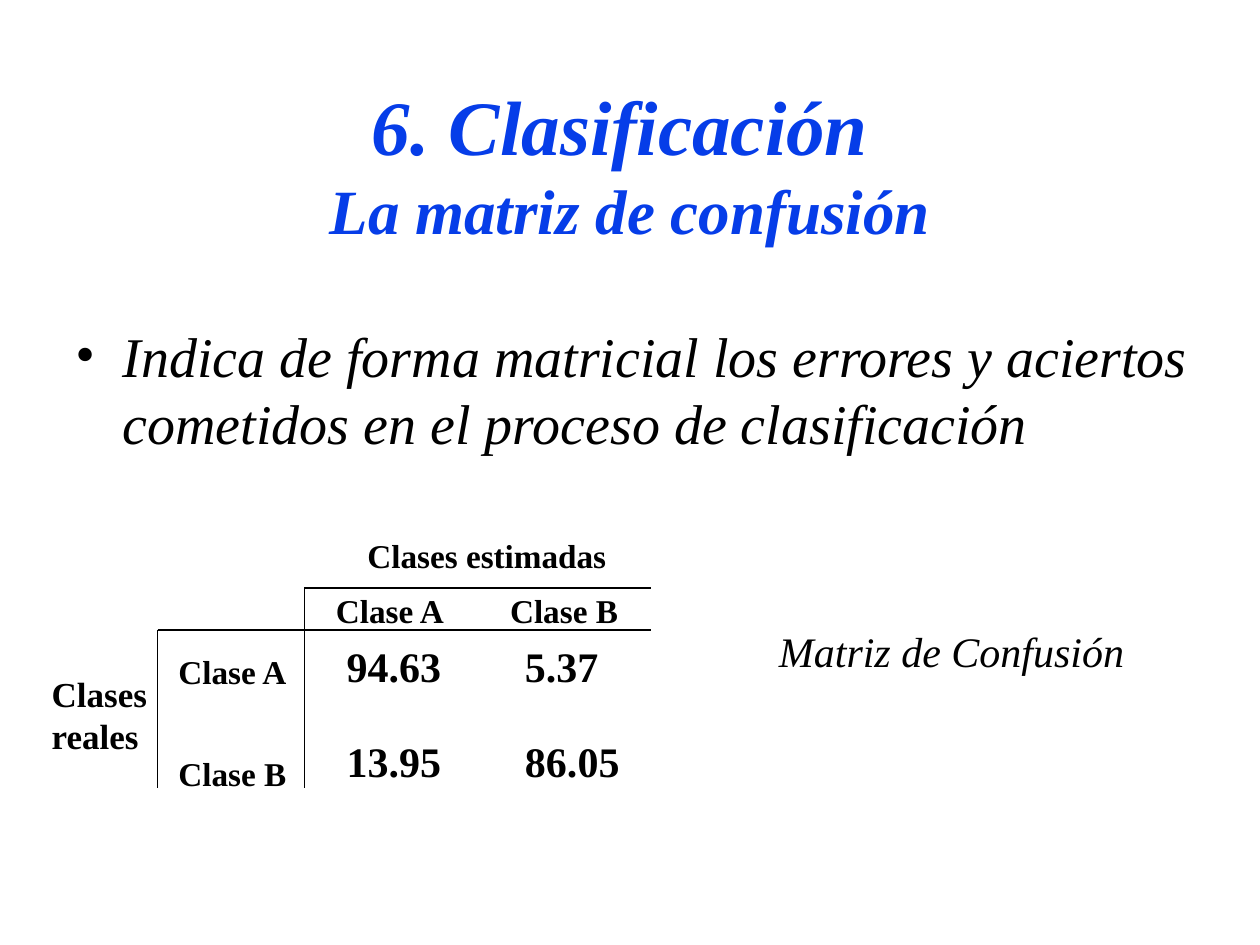
from pptx import Presentation
from pptx.dml.color import RGBColor
from pptx.enum.shapes import MSO_CONNECTOR as CONN
from pptx.enum.text import MSO_ANCHOR as ANCHOR, PP_ALIGN as ALIGN
from pptx.oxml.ns import qn
from pptx.util import Pt
from lxml.etree import SubElement

COLORS = {"title": "063DE8", "ink": "000000"}
FONT = "Times New Roman"


class Deck:
    def __init__(self, prs):
        self.s = prs.slides.add_slide(prs.slide_layouts[6])

    def frame(self, x, y, w, h, inset=True, wrap=True):
        tf = self.s.shapes.add_textbox(Pt(x), Pt(y), Pt(w), Pt(h)).text_frame
        tf.word_wrap = wrap
        tf.margin_left = tf.margin_right = Pt(7.2 if inset else 0)
        tf.margin_top = tf.margin_bottom = Pt(3.6 if inset else 0)
        return tf

    def run(self, p, text, size, color="ink", bold=False, italic=False):
        r = p.add_run()
        r.text = text
        r.font.name = FONT
        r.font.size = Pt(size)
        r.font.bold = bold
        r.font.italic = italic
        r.font.color.rgb = RGBColor.from_string(COLORS[color])

    def title(self, x, y, w, h, lines):
        tf = self.frame(x, y, w, h)
        tf.vertical_anchor = ANCHOR.MIDDLE
        p = tf.paragraphs[0]
        p.alignment = ALIGN.CENTER
        for i, (text, size) in enumerate(lines):
            if i:
                p.add_line_break()
            self.run(p, text, size, "title", True, True)

    def bullet(self, x, y, w, h, text, size):
        p = self.frame(x, y, w, h).paragraphs[0]
        pPr = p._p.get_or_add_pPr()
        pPr.set("marL", str(Pt(27)))
        pPr.set("indent", str(-Pt(27)))
        clr = SubElement(pPr, qn("a:buClr"))
        SubElement(clr, qn("a:srgbClr")).set("val", COLORS["ink"])
        SubElement(pPr, qn("a:buFont")).set("typeface", FONT)
        SubElement(pPr, qn("a:buChar")).set("char", "•")
        self.run(p, text, size, italic=True)

    def caption(self, x, y, w, h, text, size):
        self.run(self.frame(x, y, w, h).paragraphs[0], text, size, italic=True)

    def label(self, x, y, w, h, lines, size):
        tf = self.frame(x, y, w, h, inset=False, wrap=False)
        for i, text in enumerate(lines):
            p = tf.add_paragraph() if i else tf.paragraphs[0]
            self.run(p, text, size, bold=True)

    def line(self, x1, y1, x2, y2):
        c = self.s.shapes.add_connector(CONN.STRAIGHT, Pt(x1), Pt(y1), Pt(x2), Pt(y2))
        c.line.width = Pt(1)
        c.line.color.rgb = RGBColor.from_string(COLORS["ink"])
        SubElement(c._element.spPr, qn("a:effectLst"))


def main():
    prs = Presentation()
    prs.slide_width, prs.slide_height = Pt(720), Pt(540)
    deck = Deck(prs)

    deck.title(54, 48, 612, 90,
               [("6. Clasificación ", 44), ("La matriz de confusión", 36)])
    deck.bullet(36, 180, 654, 324,
                "Indica de forma matricial los errores y aciertos "
                "cometidos en el proceso de clasificación", 32)

    deck.label(210, 306, 137, 23, ["Clases estimadas"], 19)
    deck.label(29.5, 384, 60, 48, ["Clases", "reales"], 20)
    classes = ["Clase A", "Clase B"]
    for name, col_x, row_y in zip(classes, (192, 291.5), (372, 430.5)):
        deck.label(col_x, 337.5, 62, 23, [name], 19)
        deck.label(102, row_y, 62, 23, [name], 19)
    matrix = [["94.63", "5.37"], ["13.95", "86.05"]]
    for row, y in zip(matrix, (366, 420)):
        for value, x in zip(row, (198, 300)):
            deck.label(x, y, 12 * len(value) - 6, 29, [value], 24)

    right, bottom = 372, 450
    for x, y in ((174, 336), (90, 360)):
        deck.line(x, y, x, bottom)
        deck.line(x, y, right, y)

    deck.caption(438, 354, 235, 36, "Matriz de Confusión", 24)
    prs.save("out.pptx")


if __name__ == "__main__":
    main()
